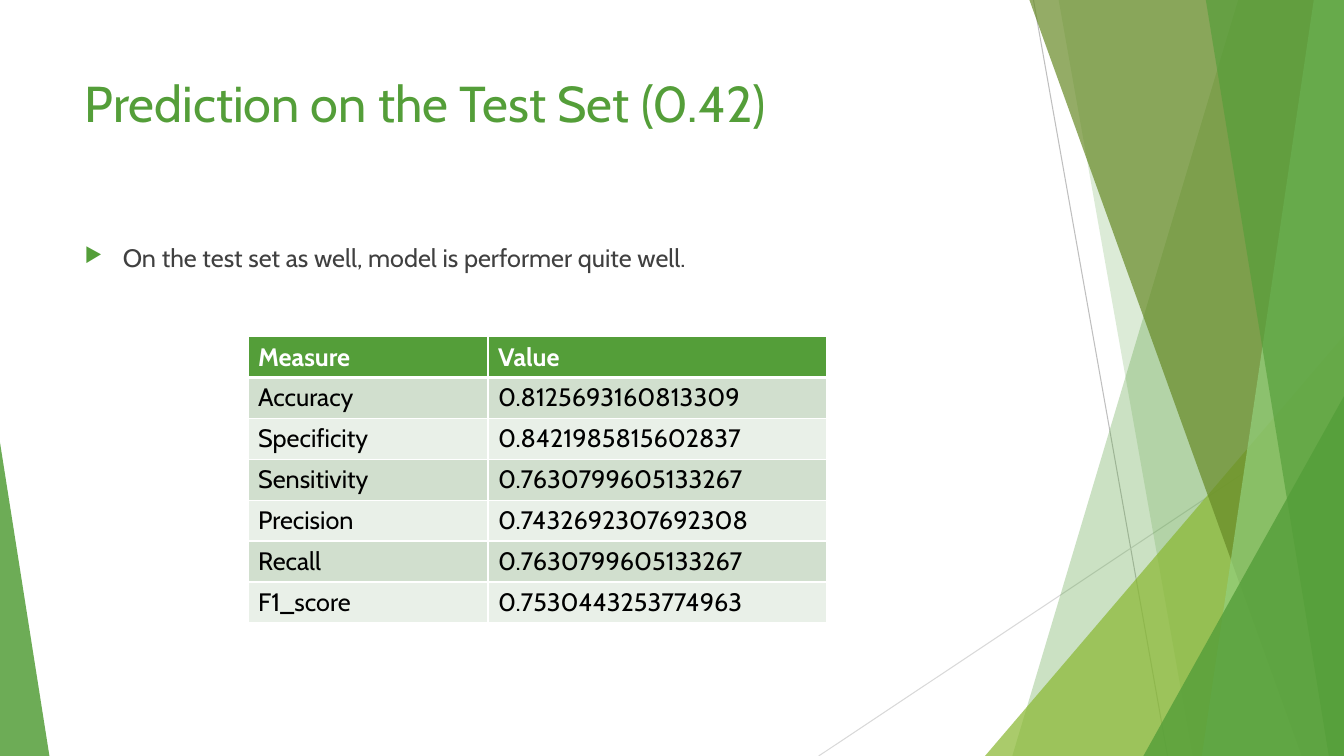
from pptx import Presentation
from pptx.dml.color import RGBColor
from pptx.enum.shapes import MSO_CONNECTOR as Link, MSO_SHAPE as Shape
from pptx.enum.text import MSO_ANCHOR as Anchor, PP_ALIGN as Align
from pptx.oxml.ns import qn
from pptx.util import Inches, Pt
from lxml.etree import SubElement

FONT = "Cabin"
GREEN, WHITE = "549E39", "FFFFFF"
WIDE, HIGH = 13.33, 7.5
ROWS = [
    ("Measure", "Value"),
    ("Accuracy", "0.8125693160813309"),
    ("Specificity", "0.8421985815602837"),
    ("Sensitivity", "0.7630799605133267"),
    ("Precision", "0.7432692307692308"),
    ("Recall", "0.7630799605133267"),
    ("F1_score", "0.7530443253774963"),
]


def color(code):
    return RGBColor.from_string(code)


def style(para, size, code, bold=False):
    para.alignment = Align.LEFT
    for run in para.runs:
        font = run.font
        font.name, font.size, font.bold = FONT, Pt(size), bold
        font.color.rgb = color(code)


def paint(shape, code, alpha):
    """Fill a shape with a colour at alpha percent opacity, without outline."""
    shape.shadow.inherit = False
    shape.line.fill.background()
    shape.fill.solid()
    shape.fill.fore_color.rgb = color(code)
    tint = shape.fill._xPr.find(qn("a:solidFill"))[0]
    SubElement(tint, qn("a:alpha"), val=str(alpha * 1000))


def ray(slide, start, end, code):
    line = slide.shapes.add_connector(
        Link.STRAIGHT, *[Inches(n) for n in (*start, *end)])
    line.line.color.rgb = color(code)
    line.line.width = Pt(0.75)
    SubElement(line.element.spPr, qn("a:effectLst"))


def shard(slide, top, foot, code, alpha):
    """Draw a band from a slanted left edge to the right edge of the slide."""
    pen = slide.shapes.build_freeform(Inches(top), 0)
    pen.add_line_segments([(Inches(x), Inches(y)) for x, y in
                           ((WIDE, 0), (WIDE, HIGH), (foot, HIGH))])
    paint(pen.convert_to_shape(), code, alpha)


def wedge(slide, left, top, width, peak, code, alpha):
    """Draw a triangle on the bottom edge with its peak at 0 (left) to 1 (right)."""
    shape = slide.shapes.add_shape(
        Shape.ISOSCELES_TRIANGLE,
        *[Inches(n) for n in (left, top, width, HIGH - top)])
    shape.adjustments[0] = peak
    paint(shape, code, alpha)


def add_facets(slide):
    ray(slide, (10.25, 0), (11.58, HIGH), "BFBFBF")
    ray(slide, (WIDE, 4.03), (8.12, HIGH), "D9D9D9")
    shard(slide, 12.28, 10.04, GREEN, 30)
    shard(slide, 10.5, 11.83, GREEN, 20)
    wedge(slide, 9.77, 3.33, 3.56, 1, "8AB833", 72)
    shard(slide, 10.21, 12.91, "678A26", 70)
    shard(slide, 13.03, 11.92, "93D07D", 70)
    shard(slide, 11.96, 13.18, GREEN, 65)
    wedge(slide, 11.34, 3.93, 1.99, 1, GREEN, 80)
    wedge(slide, 0, 4.39, 0.49, 0, GREEN, 85)


def add_title(slide, left, top, width, height):
    title = slide.shapes.title
    title.left, title.top = Inches(left), Inches(top)
    title.width, title.height = Inches(width), Inches(height)
    frame = title.text_frame
    frame.text = "Prediction on the Test Set (0.42)"
    frame.vertical_anchor = Anchor.TOP
    style(frame.paragraphs[0], 36, GREEN)


def add_body(slide, left, top, width, height):
    box = slide.shapes.add_textbox(
        *[Inches(n) for n in (left, top, width, height)])
    frame = box.text_frame
    frame.word_wrap = True
    frame.text = "On the test set as well, model is performer quite well."
    para = frame.paragraphs[0]
    style(para, 18, "404040")
    para.space_before = Pt(10)
    props = para._p.get_or_add_pPr()
    indent = Inches(0.38)
    props.set("marL", str(indent))
    props.set("indent", str(-indent))
    tint = SubElement(props, qn("a:buClr"))
    SubElement(tint, qn("a:srgbClr"), val=GREEN)
    SubElement(props, qn("a:buSzPct"), val="80000")
    SubElement(props, qn("a:buChar"), char="▶")


def edge(cell, base):
    """Give a cell white borders, with the bottom one base points wide."""
    props = cell._tc.get_or_add_tcPr()
    for side, width in (("L", 1), ("R", 1), ("T", 1), ("B", base)):
        line = SubElement(props, qn("a:ln" + side), w=str(Pt(width)))
        fill = SubElement(line, qn("a:solidFill"))
        SubElement(fill, qn("a:srgbClr"), val=WHITE)


def add_scores(slide, left, top, widths, height):
    table = slide.shapes.add_table(
        len(ROWS), len(widths), Inches(left), Inches(top),
        Inches(sum(widths)), Inches(height)).table
    for col, width in zip(table.columns, widths):
        col.width = Inches(width)
    for r, row in enumerate(ROWS):
        head = r == 0
        back = GREEN if head else ("E9F0E8", "D1DFCE")[r % 2]
        for c, text in enumerate(row):
            cell = table.cell(r, c)
            cell.text_frame.text = text
            style(cell.text_frame.paragraphs[0], 18,
                  WHITE if head else "000000", head)
            edge(cell, 3 if head else 1)
            cell.fill.solid()
            cell.fill.fore_color.rgb = color(back)


def main():
    deck = Presentation()
    deck.slide_width, deck.slide_height = Inches(WIDE), Inches(HIGH)
    slide = deck.slides.add_slide(deck.slide_layouts[5])
    add_facets(slide)
    add_title(slide, 0.74, 0.67, 9.4, 1.44)
    add_body(slide, 0.74, 2.36, 9.4, 4.24)
    add_scores(slide, 2.46, 3.34, (2.38, 3.36), 2.84)
    deck.save("out.pptx")


if __name__ == "__main__":
    main()
